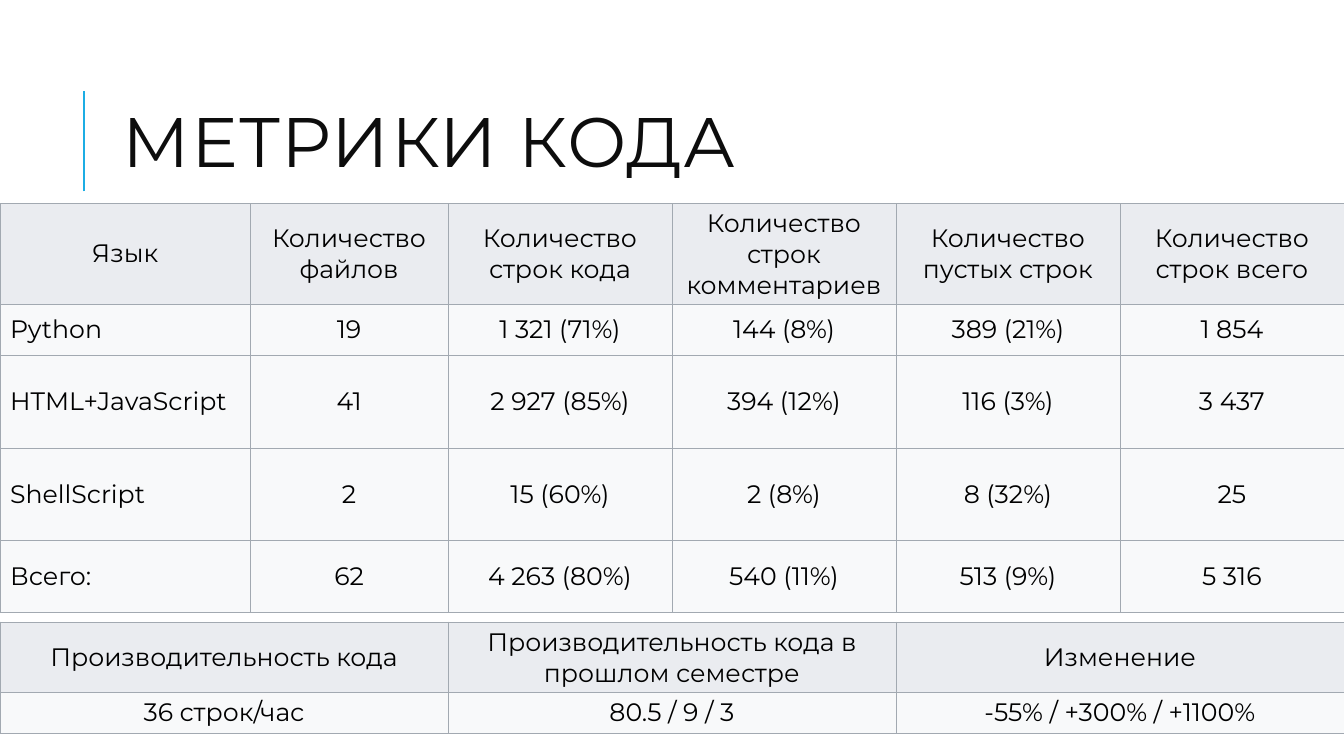
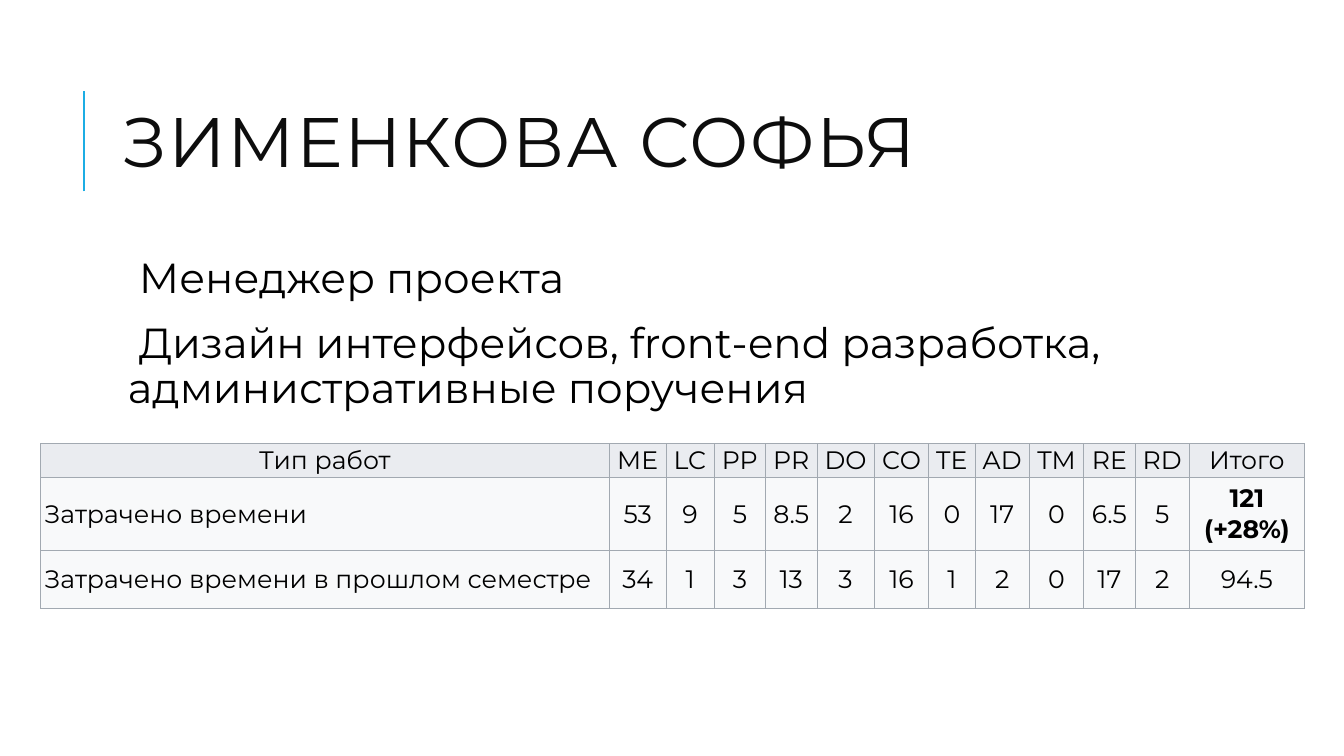
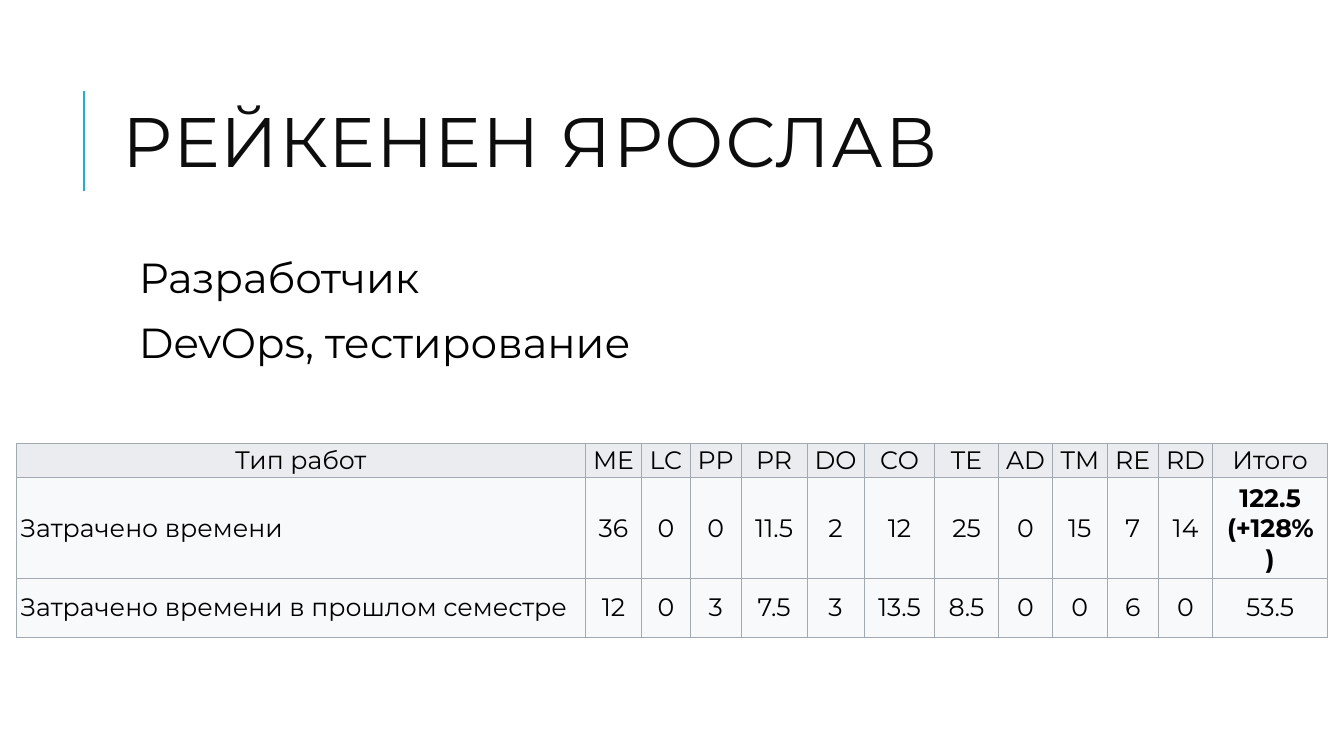
from dataclasses import dataclass

from lxml import etree
from pptx import Presentation, util as u
from pptx.dml.color import RGBColor
from pptx.enum import shapes, text
from pptx.oxml import ns

FONT = "Montserrat"
ACCENT, TITLE, INK = "1CADE4", "0D0D0D", "000000"
BORDER, HEADER, BODY = "A2A9B1", "EAECF0", "F8F9FA"
WIDTH, HEIGHT = u.Inches(40 / 3), u.Inches(7.5)

WORK_TYPES = ("Тип работ", "ME", "LC", "PP", "PR", "DO", "CO", "TE",
              "AD", "TM", "RE", "RD", "Итого")
SPENT, SPENT_BEFORE = "Затрачено времени", "Затрачено времени в прошлом семестре"
WORK_ROWS = (4.4, 9.6, 7.73)


@dataclass(frozen=True)
class Box:
    """A rectangle in percent of the slide's width and height."""
    left: float
    top: float
    width: float
    height: float

    def emu(self) -> tuple:
        return (across(self.left), down(self.top),
                across(self.width), down(self.height))


@dataclass(frozen=True)
class Grid:
    """A table: columns are relative weights, rows are percent of slide height.

    The first tight_rows rows, and the first column if there are any,
    have narrow cell margins.
    """
    left: float
    top: float
    width: float
    columns: tuple
    rows: tuple
    cells: tuple
    left_labels: bool = True
    bold_total: bool = False
    tight_rows: int = 0


@dataclass(frozen=True)
class Member:
    name: str
    roles: tuple
    roles_width: float
    hours: Grid


METRICS = Grid(
    0, 26.93, 100, (2.48, 1.96, 2.22, 2.22, 2.22, 2.22),
    (8.4, 6.67, 12.4, 12.13, 9.6),
    (("Язык", "Количество файлов", "Количество строк кода",
      "Количество строк комментариев", "Количество пустых строк",
      "Количество строк всего"),
     ("Python", "19", "1 321 (71%)", "144 (8%)", "389 (21%)", "1 854"),
     ("HTML+JavaScript", "41", "2 927 (85%)", "394 (12%)", "116 (3%)", "3 437"),
     ("ShellScript", "2", "15 (60%)", "2 (8%)", "8 (32%)", "25"),
     ("Всего:", "62", "4 263 (80%)", "540 (11%)", "513 (9%)", "5 316")))

PRODUCTIVITY = Grid(
    0, 82.27, 100, (1, 1, 1), (8.53, 4.8),
    (("Производительность кода", "Производительность кода в прошлом семестре",
      "Изменение"),
     ("36 строк/час", "80.5 / 9 / 3", "-55% / +300% / +1100%")),
    left_labels=False)

MEMBERS = (
    Member("ЗИМЕНКОВА СОФЬЯ",
           ("Менеджер проекта",
            "Дизайн интерфейсов, front-end разработка, административные поручения"),
           82.37,
           Grid(3, 58.67, 94.07,
                (5.65, 0.56, 0.48, 0.51, 0.51, 0.57, 0.54, 0.46, 0.54, 0.54,
                 0.51, 0.54, 1.14),
                WORK_ROWS,
                (WORK_TYPES,
                 (SPENT, "53", "9", "5", "8.5", "2", "16", "0", "17", "0",
                  "6.5", "5", "121 (+28%)"),
                 (SPENT_BEFORE, "34", "1", "3", "13", "3", "16", "1", "2", "0",
                  "17", "2", "94.5")),
                bold_total=True, tight_rows=2)),
    Member("РЕЙКЕНЕН ЯРОСЛАВ",
           ("Разработчик", "DevOps, тестирование"),
           79.74,
           Grid(1.2, 58.67, 97.6,
                (5.65, 0.56, 0.48, 0.51, 0.65, 0.57, 0.7, 0.63, 0.54, 0.54,
                 0.51, 0.54, 1.14),
                WORK_ROWS,
                (WORK_TYPES,
                 (SPENT, "36", "0", "0", "11.5", "2", "12", "25", "0", "15",
                  "7", "14", "122.5 (+128%)"),
                 (SPENT_BEFORE, "12", "0", "3", "7.5", "3", "13.5", "8.5", "0",
                  "0", "6", "0", "53.5")),
                bold_total=True, tight_rows=1)),
)


def across(percent: float) -> int:
    return int(WIDTH * percent / 100)


def down(percent: float) -> int:
    return int(HEIGHT * percent / 100)


def rgb(value: str) -> RGBColor:
    return RGBColor.from_string(value)


def assign(target, values: dict) -> None:
    for name, value in values.items():
        setattr(target, name, value)


def child(parent, tag: str, **attributes: str):
    return etree.SubElement(parent, ns.qn(tag), attributes)


def write(p, words: str, size: float, color: str = INK, bold: bool = False):
    r = p.add_run()
    r.text = words
    assign(r.font, {"name": FONT, "size": u.Pt(size), "bold": bold})
    r.font.color.rgb = rgb(color)
    return r


def add_text_frame(s, box: Box, anchor):
    tf = s.shapes.add_textbox(*box.emu()).text_frame
    assign(tf, {"word_wrap": True, "vertical_anchor": anchor})
    return tf


def add_titled_slide(prs, title: str):
    s = prs.slides.add_slide(prs.slide_layouts[6])
    x = across(6.23)
    line = s.shapes.add_connector(
        shapes.MSO_CONNECTOR.STRAIGHT, x, down(25.33), x, down(12))
    line.line.color.rgb = rgb(ACCENT)
    line.line.width = u.Pt(1.5)
    child(line._element.spPr, "a:effectLst")

    tf = add_text_frame(s, Box(8.4, 8.53, 79.74, 21.87), text.MSO_ANCHOR.MIDDLE)
    p = tf.paragraphs[0]
    p.line_spacing = 0.8
    r = write(p, title, 50, TITLE)
    r.font._element.set("spc", "100")
    return s


def add_roles(s, member: Member) -> None:
    tf = add_text_frame(s, Box(8.4, 33.33, member.roles_width, 10.4),
                        text.MSO_ANCHOR.TOP)
    assign(tf, dict.fromkeys(
        ("margin_left", "margin_top", "margin_right", "margin_bottom"),
        u.Inches(0.05)))
    hanging = u.Inches(0.1)
    for i, role in enumerate(member.roles):
        p = tf.add_paragraph() if i else tf.paragraphs[0]
        assign(p, {"line_spacing": 0.9, "space_before": u.Pt(12),
                   "space_after": u.Pt(2)})
        pPr = p._p.get_or_add_pPr()
        pPr.set("marL", str(hanging))
        pPr.set("indent", str(-hanging))
        child(child(pPr, "a:buClr"), "a:srgbClr", val=ACCENT)
        child(pPr, "a:buChar", char=" ")
        write(p, role, 30)


def add_borders(cell) -> None:
    tcPr = cell._tc.get_or_add_tcPr()
    for side in ("a:lnL", "a:lnR", "a:lnT", "a:lnB"):
        ln = child(tcPr, side, w=str(u.Pt(0.5)))
        child(child(ln, "a:solidFill"), "a:srgbClr", val=BORDER)


def add_grid(s, grid: Grid) -> None:
    box = Box(grid.left, grid.top, grid.width, sum(grid.rows))
    table = s.shapes.add_table(
        len(grid.rows), len(grid.columns), *box.emu()).table
    assign(table, {"first_row": False, "horz_banding": False})
    for column, weight in zip(table.columns, grid.columns):
        column.width = int(across(grid.width) * weight / sum(grid.columns))
    for row, height in zip(table.rows, grid.rows):
        row.height = down(height)

    last = len(grid.columns) - 1
    for i, line in enumerate(grid.cells):
        for j, words in enumerate(line):
            cell = table.cell(i, j)
            add_borders(cell)
            cell.fill.solid()
            cell.fill.fore_color.rgb = rgb(BODY if i else HEADER)
            cell.vertical_anchor = text.MSO_ANCHOR.MIDDLE
            if i < grid.tight_rows or (grid.tight_rows and j == 0):
                side, edge = u.Inches(0.04), u.Inches(0.02)
                assign(cell, {"margin_left": side, "margin_right": side,
                              "margin_top": edge, "margin_bottom": edge})
            p = cell.text_frame.paragraphs[0]
            is_label = grid.left_labels and i > 0 and j == 0
            p.alignment = text.PP_ALIGN.LEFT if is_label else text.PP_ALIGN.CENTER
            write(p, words, 18, bold=grid.bold_total and (i, j) == (1, last))


def main() -> None:
    prs = Presentation()
    assign(prs, {"slide_width": WIDTH, "slide_height": HEIGHT})

    s = add_titled_slide(prs, "МЕТРИКИ КОДА")
    for grid in (METRICS, PRODUCTIVITY):
        add_grid(s, grid)

    for member in MEMBERS:
        s = add_titled_slide(prs, member.name)
        add_roles(s, member)
        add_grid(s, member.hours)

    prs.save("out.pptx")


if __name__ == "__main__":
    main()
